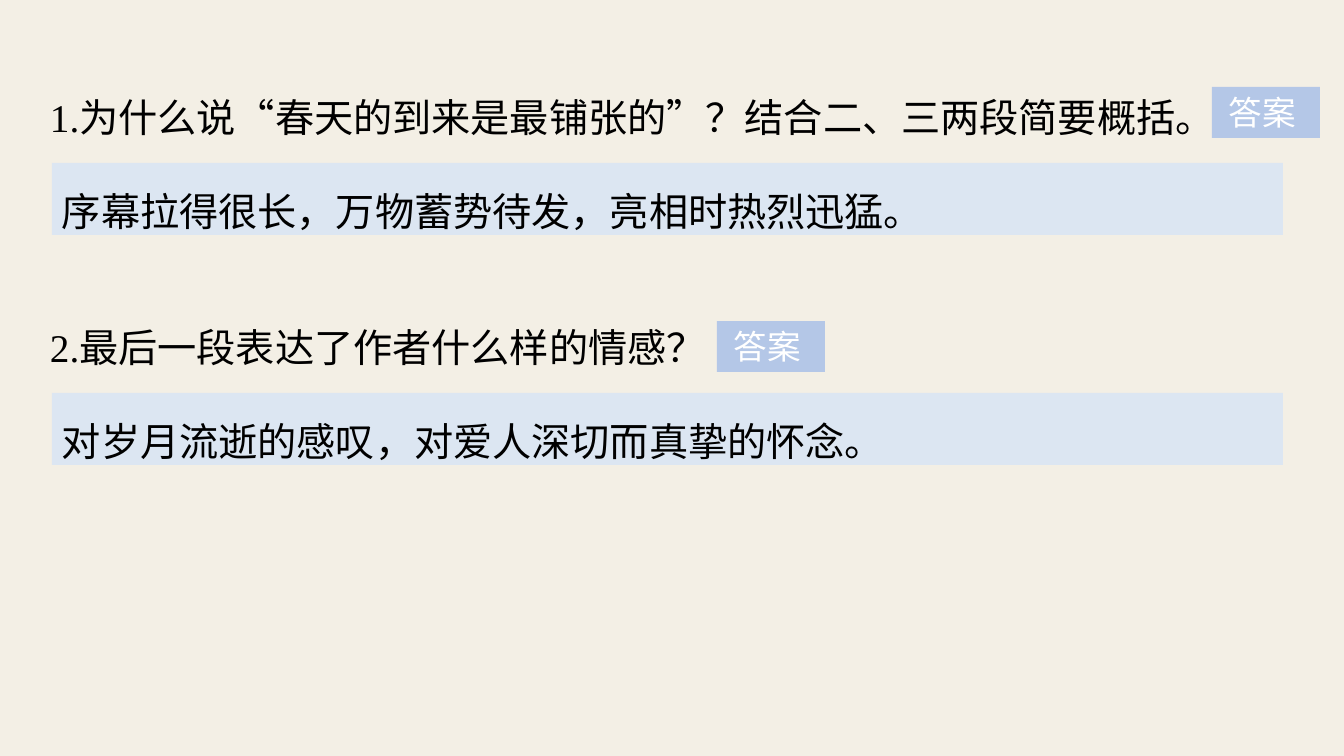
from pptx import Presentation
from pptx.dml.color import RGBColor
from pptx.enum.lang import MSO_LANGUAGE_ID as LANGUAGE
from pptx.enum.shapes import MSO_SHAPE as SHAPE
from pptx.enum.text import MSO_ANCHOR as ANCHOR, PP_ALIGN as ALIGN
from pptx.util import Emu, Pt

PX = 914400 / 100.8
PAPER = RGBColor(0xF3, 0xEF, 0xE5)
TAG_BLUE = RGBColor(0xB4, 0xC7, 0xE7)
ANSWER_BLUE = RGBColor(0xDC, 0xE6, 0xF2)
BLACK = RGBColor(0, 0, 0)
WHITE = RGBColor(0xFF, 0xFF, 0xFF)
SERIF, SANS, QUOTES = "Times New Roman", "Arial", "Noto Sans CJK SC"

# Question, answer, top of the question, left of its answer tag
EXERCISES = [
    (["1.为什么说", "“", "春天的到来是最铺张的", "”", "？结合二、三两段简要概括。"],
     "序幕拉得很长，万物蓄势待发，亮相时热烈迅猛。", 67, 1212),
    (["2.最后一段表达了作者什么样的情感？"],
     "对岁月流逝的感叹，对爱人深切而真挚的怀念。", 297, 717),
]


def px(length):
    return Emu(round(length * PX))


def write(shape, *parts, font=SERIF, size=28, color=BLACK, align=ALIGN.JUSTIFY,
          spacing=1.5, inset=(10, 5)):
    """Fill the shape with one paragraph; quotation marks get their own font."""
    frame = shape.text_frame
    frame.word_wrap = True
    frame.vertical_anchor = ANCHOR.MIDDLE
    frame.margin_left = frame.margin_right = px(inset[0])
    frame.margin_top = frame.margin_bottom = px(inset[1])
    paragraph = frame.paragraphs[0]
    paragraph.alignment = align
    paragraph.line_spacing = spacing
    for part in parts:
        run = paragraph.add_run()
        run.text = part
        run.font.name = QUOTES if part in "“”" else font
        run.font.size = Pt(size)
        run.font.color.rgb = color
        run.font.language_id = LANGUAGE.SIMPLIFIED_CHINESE


def add_question(slide, top, parts):
    question = slide.shapes.add_textbox(px(37), px(top), px(1265), px(76))
    write(question, *parts, inset=(13, 7))


def add_bar(slide, left, top, width, height, fill):
    bar = slide.shapes.add_shape(SHAPE.RECTANGLE, px(left), px(top), px(width), px(height))
    bar.shadow.inherit = False
    bar.fill.solid()
    bar.fill.fore_color.rgb = fill
    bar.line.fill.background()
    return bar


def main():
    deck = Presentation()
    deck.slide_width, deck.slide_height = px(1344), px(756)
    slide = deck.slides.add_slide(deck.slide_layouts[6])
    slide.background.fill.solid()
    slide.background.fill.fore_color.rgb = PAPER

    for question, answer, top, tag_left in EXERCISES:
        add_question(slide, top, question)
        tag = add_bar(slide, tag_left, top + (20 if top == 67 else 24), 108, 51, TAG_BLUE)
        write(tag, "答案", font=SANS, size=24, color=WHITE, align=ALIGN.LEFT,
              spacing=1.0, inset=(17, 5))
        answer_bar = add_bar(slide, 52, top + 96, 1231, 72, ANSWER_BLUE)
        write(answer_bar, answer)

    deck.save("out.pptx")


if __name__ == "__main__":
    main()
